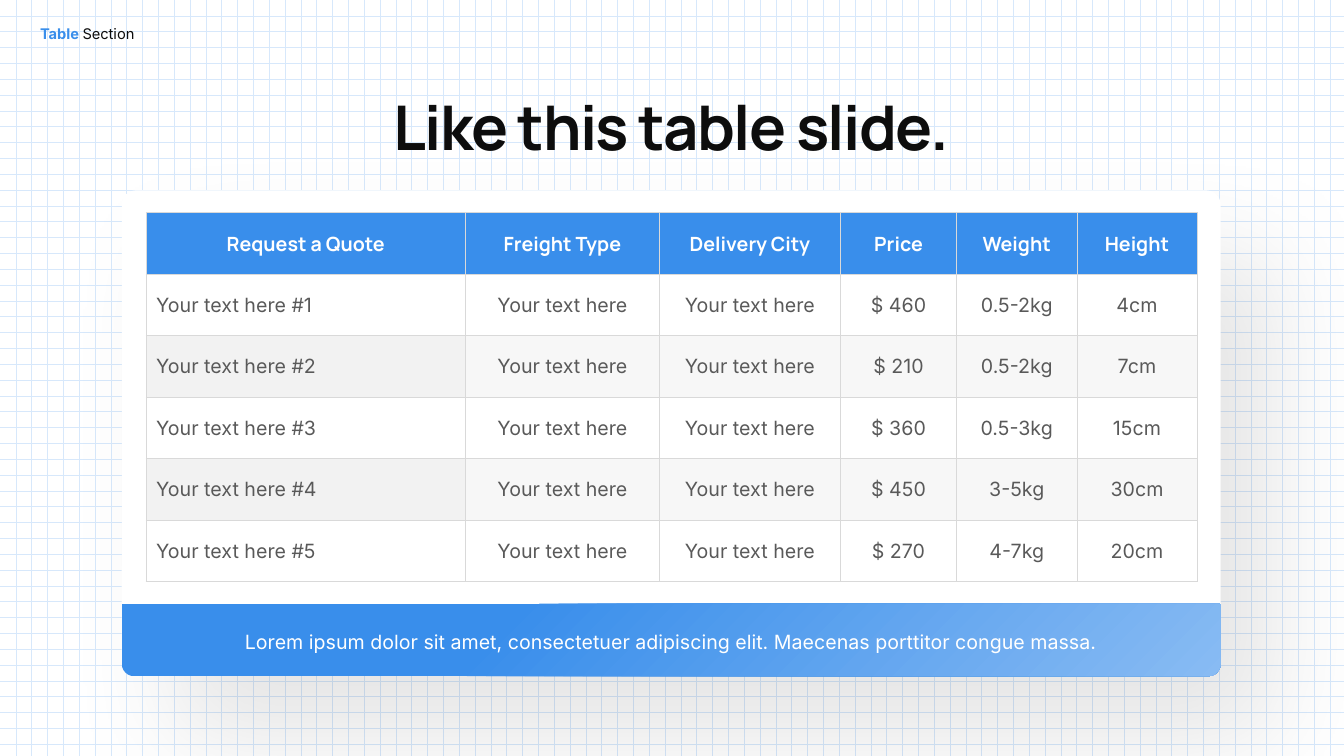
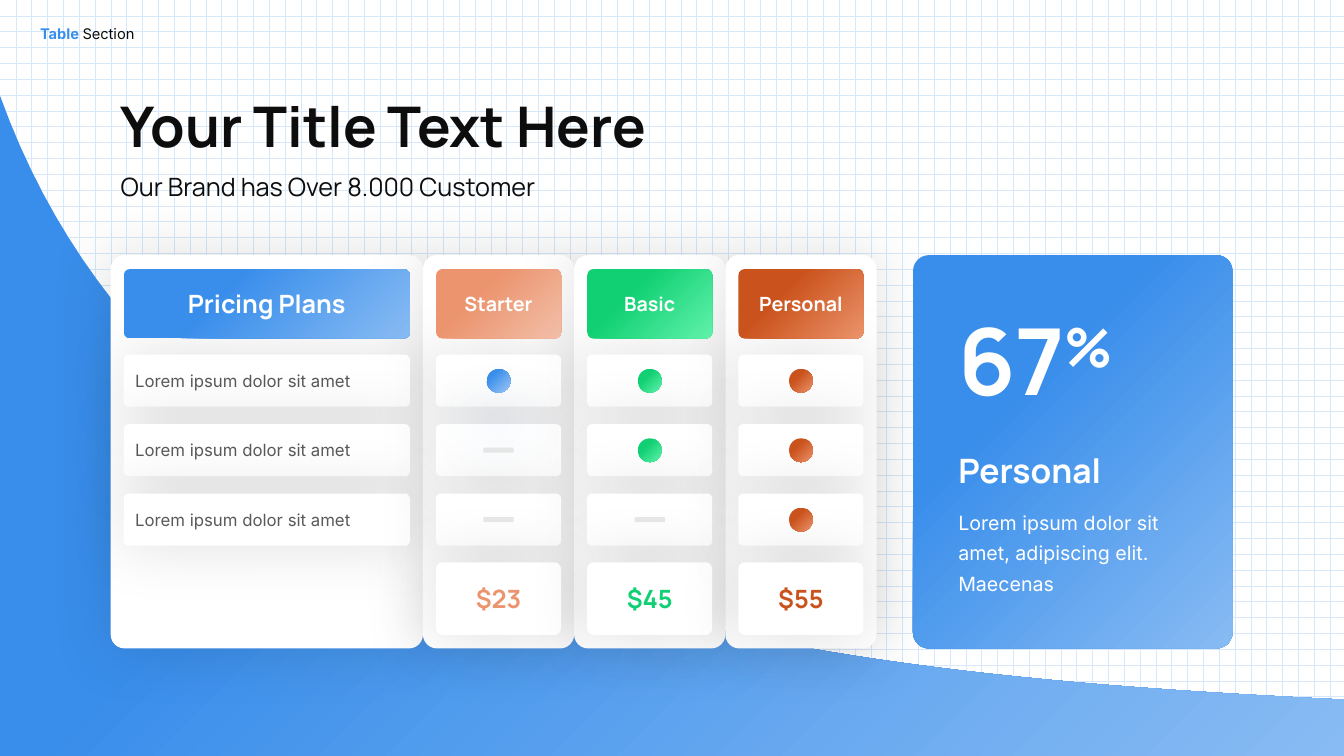
from dataclasses import dataclass

from lxml.etree import SubElement
from pptx import Presentation
from pptx.dml.color import RGBColor
from pptx.enum.dml import MSO_PATTERN
from pptx.enum.shapes import MSO_SHAPE as Preset
from pptx.enum.text import MSO_ANCHOR as Anchor, MSO_AUTO_SIZE as AutoSize, PP_ALIGN as Align
from pptx.oxml.ns import qn
from pptx.util import Cm, Pt


@dataclass(frozen=True)
class Style:
    size: float
    font: str
    color: str
    bold: bool = False
    tracking: int = 0
    baseline: int = 0


@dataclass(frozen=True)
class Theme:
    white: str = "FFFFFF"
    ink: str = "0D0D0D"
    gray: str = "595959"
    blue: str = "398EEB"
    grid: str = "D7E8FB"
    border: str = "D9D9D9"
    stripe: str = "F7F7F7"
    stripe_label: str = "F2F2F2"
    dash: str = "E6E6E6"
    heading: str = "Manrope"
    body: str = "Inter"
    sky_blend: tuple = (("88BBF3", 0), ("398EEB", 66))
    dot_blend: tuple = (("88BBF3", 15), ("398EEB", 75))
    peach_blend: tuple = (("F3BFA8", 0), ("EB946E", 66))
    green_blend: tuple = (("61F2AB", 0), ("11D073", 66))
    rust_blend: tuple = (("EB936B", 0), ("CA521C", 66))
    panel_shadow: tuple = ("000000", 10, 80, 60, 50)
    card_shadow: tuple = ("000000", 12, 46, 0, 90)
    wave_shadow: tuple = ("398EEB", 8, 100, 90, 90)
    dot_shadow: tuple = ("398EEB", 30, 45, 30, 90)

    def head(self, size, color=None, bold=True, **extra):
        return Style(size, self.heading, color or self.white, bold, **extra)

    def text(self, size, color=None, bold=False):
        return Style(size, self.body, color or self.white, bold)


T = Theme()

SECTION = [("Table ", T.text(10.5, T.blue, True)), ("Section", T.text(10.5, T.ink))]

QUOTE_TITLE = "Like this table slide."
QUOTE_NOTE = "Lorem ipsum dolor sit amet, consectetuer adipiscing elit. Maecenas porttitor congue massa."
QUOTE_WIDTHS = [8.05, 4.89, 4.56, 2.93, 3.03, 3.03]
QUOTE_ROWS = [
    ("Request a Quote", "Freight Type", "Delivery City", "Price", "Weight", "Height"),
    ("Your text here #1", "Your text here", "Your text here", "$ 460", "0.5-2kg", "4cm"),
    ("Your text here #2", "Your text here", "Your text here", "$ 210", "0.5-2kg", "7cm"),
    ("Your text here #3", "Your text here", "Your text here", "$ 360", "0.5-3kg", "15cm"),
    ("Your text here #4", "Your text here", "Your text here", "$ 450", "3-5kg", "30cm"),
    ("Your text here #5", "Your text here", "Your text here", "$ 270", "4-7kg", "20cm"),
]

PRICING_TITLE = "Your Title Text Here"
PRICING_SUBTITLE = "Our Brand has Over 8.000 Customer"
FEATURES_HEAD = "Pricing Plans"
FEATURES = ["Lorem ipsum dolor sit amet"] * 3
PLANS = [
    ("Starter", "$23", T.peach_blend, T.dot_blend, T.dot_shadow, 1),
    ("Basic", "$45", T.green_blend, T.green_blend, None, 2),
    ("Personal", "$55", T.rust_blend, T.rust_blend, None, 3),
]
SHARE = [("67", T.head(66)), ("%", T.head(66, baseline=30000))]
SHARE_NAME = "Personal"
SHARE_TEXT = "Lorem ipsum dolor sit amet, adipiscing elit. Maecenas"

WIDTH, HEIGHT = 33.87, 19.05
WAVE_START, WAVE_BEND_1, WAVE_BEND_2, WAVE_END = (WIDTH, 17.63), (20.65, 16.99), (4.72, 15.52), (0, 2.41)
WAVE_STEPS = 60


def box_cm(*lengths):
    return [Cm(length) for length in lengths]


def rgb(color):
    return RGBColor.from_string(color)


def write(frame, runs, align=Align.LEFT, spacing=None, anchor=Anchor.TOP, wrap=True):
    frame.word_wrap = wrap
    frame.auto_size = AutoSize.NONE
    frame.vertical_anchor = anchor
    fill_paragraph(frame.paragraphs[0], runs, align, spacing)


def fill_paragraph(paragraph, runs, align, spacing=None):
    paragraph.alignment = align
    if spacing:
        paragraph.line_spacing = spacing
    for words, style in runs:
        run = paragraph.add_run()
        run.text = words
        run.font.size = Pt(style.size)
        run.font.name = style.font
        run.font.bold = style.bold
        run.font.color.rgb = rgb(style.color)
        properties = run._r.get_or_add_rPr()
        if style.tracking:
            properties.set("spc", str(style.tracking))
        if style.baseline:
            properties.set("baseline", str(style.baseline))


def add_color(parent, color):
    return SubElement(parent, qn("a:srgbClr"), val=color)


def paint(shape, fill, shadow=None):
    shape.line.fill.background()
    shape.shadow.inherit = False
    properties = shape.element.spPr
    if isinstance(fill, str):
        shape.fill.solid()
        shape.fill.fore_color.rgb = rgb(fill)
    else:
        shape.fill.gradient()
        blend = properties.find(qn("a:gradFill"))
        for child in list(blend):
            blend.remove(child)
        stops = SubElement(blend, qn("a:gsLst"))
        for color, position in fill:
            add_color(SubElement(stops, qn("a:gs"), pos=str(position * 1000)), color)
        circle = SubElement(blend, qn("a:path"))
        circle.set("path", "circle")
        SubElement(circle, qn("a:fillToRect"), l="100000", t="100000")
    if shadow:
        color, alpha, blur, distance, angle = shadow
        outer = SubElement(
            properties.find(qn("a:effectLst")), qn("a:outerShdw"),
            blurRad=str(Pt(blur)), dist=str(Pt(distance)),
            dir=str(angle * 60000), algn="ctr", rotWithShape="0")
        SubElement(add_color(outer, color), qn("a:alpha"), val=str(alpha * 1000))
    return shape


def add_block(slide, preset, place, fill, shadow=None, radii=()):
    block = slide.shapes.add_shape(preset, *box_cm(*place))
    for index, radius in enumerate(radii):
        block.adjustments[index] = radius
    return paint(block, fill, shadow)


def add_card(slide, place, fill, shadow=None, radius=0.35):
    return add_block(slide, Preset.ROUNDED_RECTANGLE, place, fill, shadow, [radius / min(place[2:])])


def add_tile(slide, place, fill, shadow=None, runs=(), align=Align.CENTER):
    tile = add_block(slide, Preset.ROUNDED_RECTANGLE, place, fill, shadow, [0.09])
    if runs:
        write(tile.text_frame, runs, align, anchor=Anchor.MIDDLE)


def add_text(slide, place, runs, **layout):
    write(slide.shapes.add_textbox(*box_cm(*place)).text_frame, runs, **layout)


def add_titled_slide(prs, title, place, style, align):
    slide = prs.slides.add_slide(prs.slide_layouts[5])
    heading = slide.shapes.title
    heading.left, heading.top, heading.width, heading.height = box_cm(*place)
    write(heading.text_frame, [(title, style)], align)
    return slide


def outline_cell(cell):
    properties = cell._tc.get_or_add_tcPr()
    for index, side in enumerate(("lnL", "lnR", "lnT", "lnB")):
        edge = SubElement(properties, qn(f"a:{side}"), w=str(Pt(0.5)))
        add_color(SubElement(edge, qn("a:solidFill")), T.border)
        properties.insert(index, edge)


def quote_look(row, column):
    if row == 0:
        return T.blue, T.head(14)
    stripe = T.stripe if column else T.stripe_label
    return (T.white if row % 2 else stripe), T.text(14, T.gray)


def add_quote_table(slide, left, top, row_height):
    table = slide.shapes.add_table(
        len(QUOTE_ROWS), len(QUOTE_WIDTHS),
        *box_cm(left, top, sum(QUOTE_WIDTHS), row_height * len(QUOTE_ROWS))).table
    table.horz_banding = False
    for column, width in enumerate(QUOTE_WIDTHS):
        table.columns[column].width = Cm(width)
    for row, entries in enumerate(QUOTE_ROWS):
        for column, entry in enumerate(entries):
            cell = table.cell(row, column)
            fill, style = quote_look(row, column)
            cell.fill.solid()
            cell.fill.fore_color.rgb = rgb(fill)
            cell.vertical_anchor = Anchor.MIDDLE
            align = Align.LEFT if row and not column else Align.CENTER
            fill_paragraph(cell.text_frame.paragraphs[0], [(entry, style)], align)
            outline_cell(cell)


def build_quote_slide(prs):
    slide = add_titled_slide(prs, QUOTE_TITLE, (2.92, 2.11, 27.99, 2.13),
                             T.head(44, T.ink, tracking=-110), Align.CENTER)
    left, top, width, height = 3.07, 4.8, 27.69, 12.22
    add_card(slide, (left, top, width, height), T.white, T.panel_shadow)
    band = add_block(slide, Preset.ROUND_2_SAME_RECTANGLE, (left, 15.21, width, 1.83),
                     T.sky_blend, radii=[0, 0.17])
    write(band.text_frame, [(QUOTE_NOTE, T.text(14))], Align.CENTER, 1.3, Anchor.MIDDLE)
    add_quote_table(slide, 3.68, 5.36, 1.55)
    return slide


def wave_point(t):
    u = 1 - t
    weights = (u ** 3, 3 * u * u * t, 3 * u * t * t, t ** 3)
    anchors = (WAVE_START, WAVE_BEND_1, WAVE_BEND_2, WAVE_END)
    return tuple(sum(w * a[axis] for w, a in zip(weights, anchors)) for axis in (0, 1))


def add_wave(slide):
    curve = [wave_point(step / WAVE_STEPS) for step in range(WAVE_STEPS + 1)]
    outline = [(Cm(x), Cm(y)) for x, y in [(0, HEIGHT), (WIDTH, HEIGHT)] + curve]
    builder = slide.shapes.build_freeform(*outline[0])
    builder.add_line_segments(outline[1:], close=True)
    paint(builder.convert_to_shape(), T.sky_blend, T.wave_shadow)


def add_mark(slide, center_x, center_y, included, blend, shadow):
    width, height = (0.6, 0.6) if included else (0.76, 0.13)
    place = (center_x - width / 2, center_y - height / 2, width, height)
    if included:
        add_block(slide, Preset.OVAL, place, blend, shadow)
    else:
        add_block(slide, Preset.RECTANGLE, place, T.dash)


def add_plans(slide, left, top, height):
    features_width, plan_width, inset = 7.87, 3.81, 0.33
    head_top, head_height = top + 0.35, 1.75
    row_height, price_top, price_height = 1.31, 14.17, 1.83
    row_tops = [8.94 + 1.75 * row for row in range(len(FEATURES))]
    plan_lefts = [left + features_width + plan_width * index for index in range(len(PLANS))]

    for card_left, width in [(left, features_width)] + [(x, plan_width) for x in plan_lefts]:
        add_card(slide, (card_left, top, width, height), T.white, T.card_shadow)

    tile_left, tile_width = left + inset, features_width - 2 * inset
    for feature, row_top in zip(FEATURES, row_tops):
        add_tile(slide, (tile_left, row_top, tile_width, row_height), T.white, T.card_shadow,
                 [(feature, T.text(12, T.gray))], Align.LEFT)
    add_tile(slide, (tile_left, head_top, tile_width, head_height), T.sky_blend,
             runs=[(FEATURES_HEAD, T.head(18))])

    tile_width = plan_width - 2 * inset
    for plan_left, (name, price, blend, dot, glow, included) in zip(plan_lefts, PLANS):
        tile_left = plan_left + inset
        for row_top in row_tops:
            add_tile(slide, (tile_left, row_top, tile_width, row_height), T.white, T.card_shadow)
        add_tile(slide, (tile_left, price_top, tile_width, price_height), T.white, T.card_shadow,
                 [(price, T.head(18, blend[1][0]))])
        add_tile(slide, (tile_left, head_top, tile_width, head_height), blend,
                 runs=[(name, T.head(14))])
        for row, row_top in enumerate(row_tops):
            add_mark(slide, plan_left + plan_width / 2, row_top + row_height / 2,
                     row < included, dot, glow)


def build_pricing_slide(prs):
    left, top, height = 2.79, 6.43, 9.91
    slide = add_titled_slide(prs, PRICING_TITLE, (left, 2.18, 14.68, 1.96),
                             T.head(40, T.ink), Align.LEFT)
    add_wave(slide)
    add_text(slide, (left, 4.19, 13.69, 1.02), [(PRICING_SUBTITLE, T.head(18, T.ink, False))])
    add_plans(slide, left, top, height)

    add_card(slide, (23.01, top, 8.05, height), T.sky_blend, radius=0.4)
    share_left = 23.9
    add_text(slide, (share_left, 8.05, 4.93, 2.59), SHARE, spacing=0.8)
    add_text(slide, (share_left, 11.4, 4.93, 1.12), [(SHARE_NAME, T.head(24))], spacing=0.8)
    add_text(slide, (share_left, 12.57, 6.3, 2.51), [(SHARE_TEXT, T.text(14))], spacing=1.3)


def share_section_label(slide):
    label = slide.shapes.add_textbox(*box_cm(0.76, 0.51, 3.02, 0.71))
    write(label.text_frame, SECTION, wrap=False)
    slide.slide_layout.shapes.element.append(label.element)


def main():
    prs = Presentation()
    prs.slide_width, prs.slide_height = box_cm(WIDTH, HEIGHT)
    backdrop = prs.slide_master.background.fill
    backdrop.patterned()
    backdrop.pattern = MSO_PATTERN.DOTTED_GRID
    backdrop.fore_color.rgb = rgb(T.grid)
    backdrop.back_color.rgb = rgb(T.white)
    share_section_label(build_quote_slide(prs))
    build_pricing_slide(prs)
    prs.save("out.pptx")


if __name__ == "__main__":
    main()
